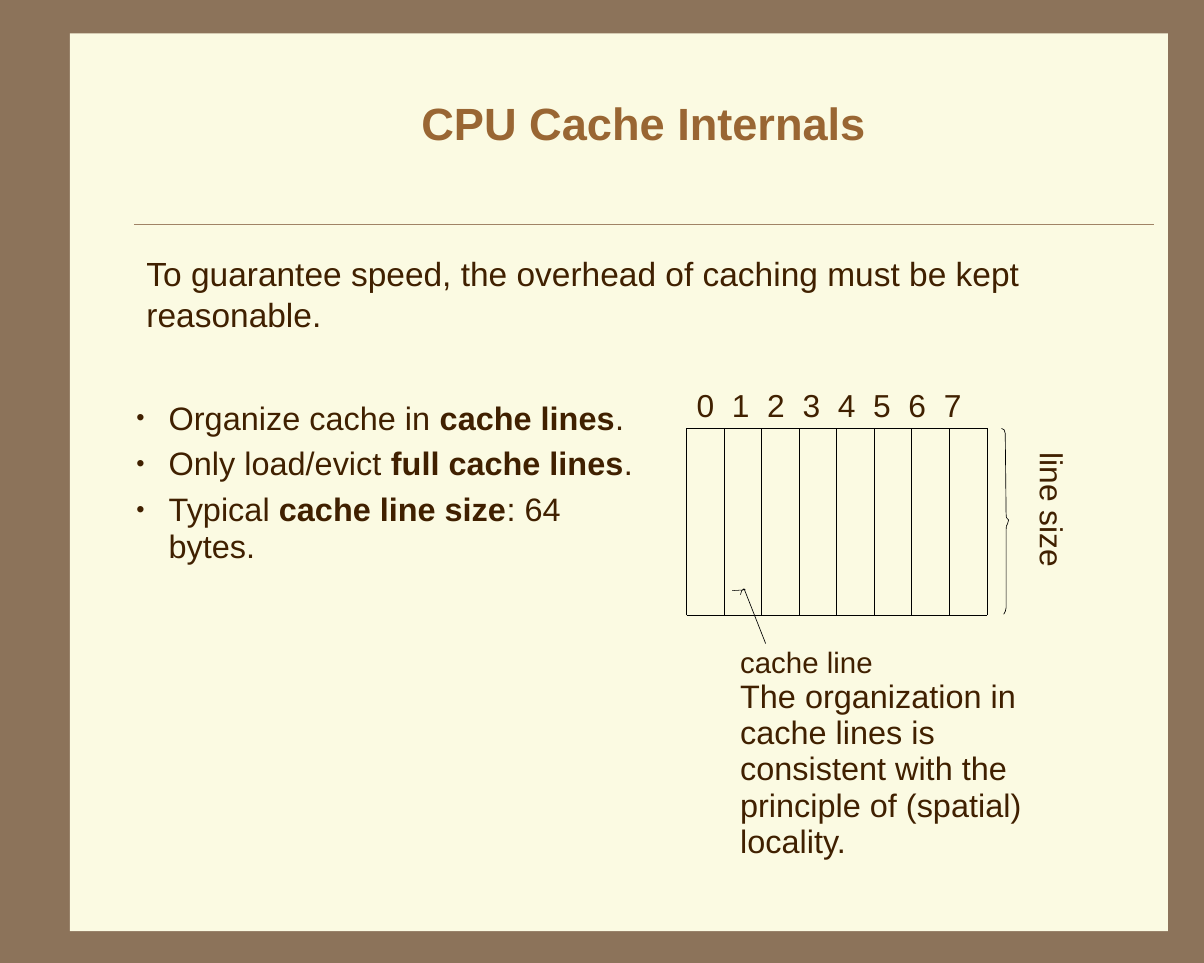
"""Build the slide on CPU cache internals."""
from lxml.etree import SubElement
from pptx import Presentation
from pptx.dml.color import RGBColor as RGB
from pptx.enum.shapes import MSO_CONNECTOR as CONN, MSO_SHAPE as SHAPE
from pptx.enum.text import MSO_ANCHOR as ANCHOR, MSO_AUTO_SIZE as FIT, PP_ALIGN as ALIGN
from pptx.oxml.ns import qn
from pptx.util import Pt

COLORS = {"border": "8C735A", "paper": "FBFAE2", "rule": "A08366",
          "title": "996633", "text": "402000", "line": "000000"}
FONT = "Arial"
TITLE = "CPU Cache Internals"
INTRO = "To guarantee speed, the overhead of caching must be kept reasonable."
BULLETS = [
    [("Organize cache in ", False), ("cache lines", True), (".", False)],
    [("Only load/evict ", False), ("full cache lines", True), (".", False)],
    [("Typical ", False), ("cache line size", True), (": 64 bytes.", False)],
]
LINE_LABEL = "cache line"
LOCALITY = "The organization in cache lines is consistent with the principle of (spatial) locality."
SIZE_LABEL = "line size"

CELLS = 8
GRID_LEFT, GRID_TOP, GRID_RIGHT, GRID_BOTTOM = 410.6, 256.3, 590.2, 368.1
DIGIT_STEP = 21.12
ARROW_HEAD = [(442.8, 355.7), (443.5, 353.5), (444.5, 352.2), (445.7, 352.8), (437.8, 353.3)]
BRACE = [(599, 256.3), (600.5, 257), (601.2, 259.2), (601.7, 307.4), (601.9, 309.6),
         (603.2, 311), (602.6, 313.2), (601.9, 314.6), (601.7, 316.8), (601.7, 363.6),
         (601.2, 365.8), (600.3, 367.4)]


def rgb(name):
    return RGB.from_string(COLORS[name])


def set_frame(tf, anchor=ANCHOR.TOP):
    tf.margin_left = tf.margin_top = tf.margin_right = tf.margin_bottom = 0
    tf.word_wrap = True
    tf.auto_size = FIT.NONE
    tf.vertical_anchor = anchor


def add_run(p, text, size, bold=False, color="text"):
    r = p.add_run()
    r.text = text
    r.font.name, r.font.size, r.font.bold = FONT, Pt(size), bold
    r.font.color.rgb = rgb(color)


def add_box(s, left, top, width, height):
    box = s.shapes.add_textbox(Pt(left), Pt(top), Pt(width), Pt(height))
    set_frame(box.text_frame)
    return box


def add_line(s, x1, y1, x2, y2, color="line", width=0.4):
    line = s.shapes.add_connector(CONN.STRAIGHT, Pt(x1), Pt(y1), Pt(x2), Pt(y2))
    line.line.color.rgb = rgb(color)
    line.line.width = Pt(width)
    SubElement(line.element.spPr, qn("a:effectLst"))


def add_outline(s, points, width):
    pts = [(Pt(x), Pt(y)) for x, y in points]
    builder = s.shapes.build_freeform(*pts[0], scale=1.0)
    builder.add_line_segments(pts[1:], close=False)
    sp = builder.convert_to_shape()
    sp.shadow.inherit = False
    sp.fill.background()
    sp.line.color.rgb = rgb("line")
    sp.line.width = Pt(width)


def add_bullet(p):
    pPr = p._p.get_or_add_pPr()
    pPr.set("marL", str(Pt(20.9)))
    pPr.set("indent", str(Pt(-19.4)))
    color = SubElement(pPr, qn("a:buClr"))
    SubElement(color, qn("a:srgbClr"), val=COLORS["text"])
    SubElement(pPr, qn("a:buSzPct"), val="73000")
    SubElement(pPr, qn("a:buFont"), typeface=FONT)
    SubElement(pPr, qn("a:buChar"), char="•")


def add_background(s):
    s.background.fill.solid()
    s.background.fill.fore_color.rgb = rgb("border")
    sp = s.shapes.add_shape(SHAPE.RECTANGLE, Pt(41.8), Pt(20), Pt(656.6), Pt(537))
    sp.shadow.inherit = False
    sp.fill.solid()
    sp.fill.fore_color.rgb = rgb("paper")
    sp.line.fill.background()
    add_line(s, 80, 134.4, 690, 134.4, "rule", 0.25)


def add_title(s):
    title = s.shapes.title
    title.element.getparent().append(title.element)
    title.left, title.top, title.width, title.height = Pt(78.8), Pt(38.2), Pt(612), Pt(70)
    set_frame(title.text_frame, ANCHOR.MIDDLE)
    p = title.text_frame.paragraphs[0]
    p.alignment = ALIGN.CENTER
    add_run(p, TITLE, 27, True, "title")


def add_body(s):
    p = add_box(s, 87.6, 150.5, 540, 54.7).text_frame.paragraphs[0]
    p.line_spacing = 1.03
    add_run(p, INTRO, 20)
    tf = add_box(s, 80, 240.5, 303.8, 148.3).text_frame
    for i, runs in enumerate(BULLETS):
        p = tf.add_paragraph() if i else tf.paragraphs[0]
        add_bullet(p)
        p.line_spacing = 0.93 if i else 0.9
        if i:
            p.space_before = Pt(5.9)
        for text, bold in runs:
            add_run(p, text, 19.4, bold)


def add_cache(s):
    step = (GRID_RIGHT - GRID_LEFT) / CELLS
    for i in range(CELLS + 1):
        x = GRID_LEFT + i * step
        add_line(s, x, GRID_BOTTOM, x, GRID_TOP)
    for y in (GRID_BOTTOM, GRID_TOP):
        add_line(s, GRID_LEFT, y, GRID_RIGHT, y)
    p = add_box(s, 416.6, 230.6, 172, 26.6).text_frame.paragraphs[0]
    tabs = SubElement(p._p.get_or_add_pPr(), qn("a:tabLst"))
    for i in range(1, CELLS):
        SubElement(tabs, qn("a:tab"), pos=str(Pt(i * DIGIT_STEP)), algn="l")
    add_run(p, "\t".join(str(i) for i in range(CELLS)), 19)
    add_line(s, 457.9, 385, 445, 352.2)
    add_outline(s, ARROW_HEAD, 0.31)
    add_outline(s, BRACE, 0.4)


def add_labels(s):
    tf = add_box(s, 442.6, 387.4, 206, 113).text_frame
    for i, (text, size, spacing) in enumerate([(LINE_LABEL, 17.6, 0.9), (LOCALITY, 19.4, 0.93)]):
        p = tf.add_paragraph() if i else tf.paragraphs[0]
        p.line_spacing = spacing
        add_run(p, text, size)
    box = add_box(s, 611.3, 268.6, 29.5, 100)
    box.element.txBody.bodyPr.set("vert", "eaVert")
    p = box.text_frame.paragraphs[0]
    p._p.get_or_add_pPr().set("marL", str(Pt(2.2)))
    add_run(p, SIZE_LABEL, 19)


def main():
    prs = Presentation()
    prs.slide_width, prs.slide_height = Pt(720), Pt(576)
    s = prs.slides.add_slide(prs.slide_layouts[5])
    for add_part in (add_background, add_title, add_body, add_cache, add_labels):
        add_part(s)
    prs.save("out.pptx")


if __name__ == "__main__":
    main()
